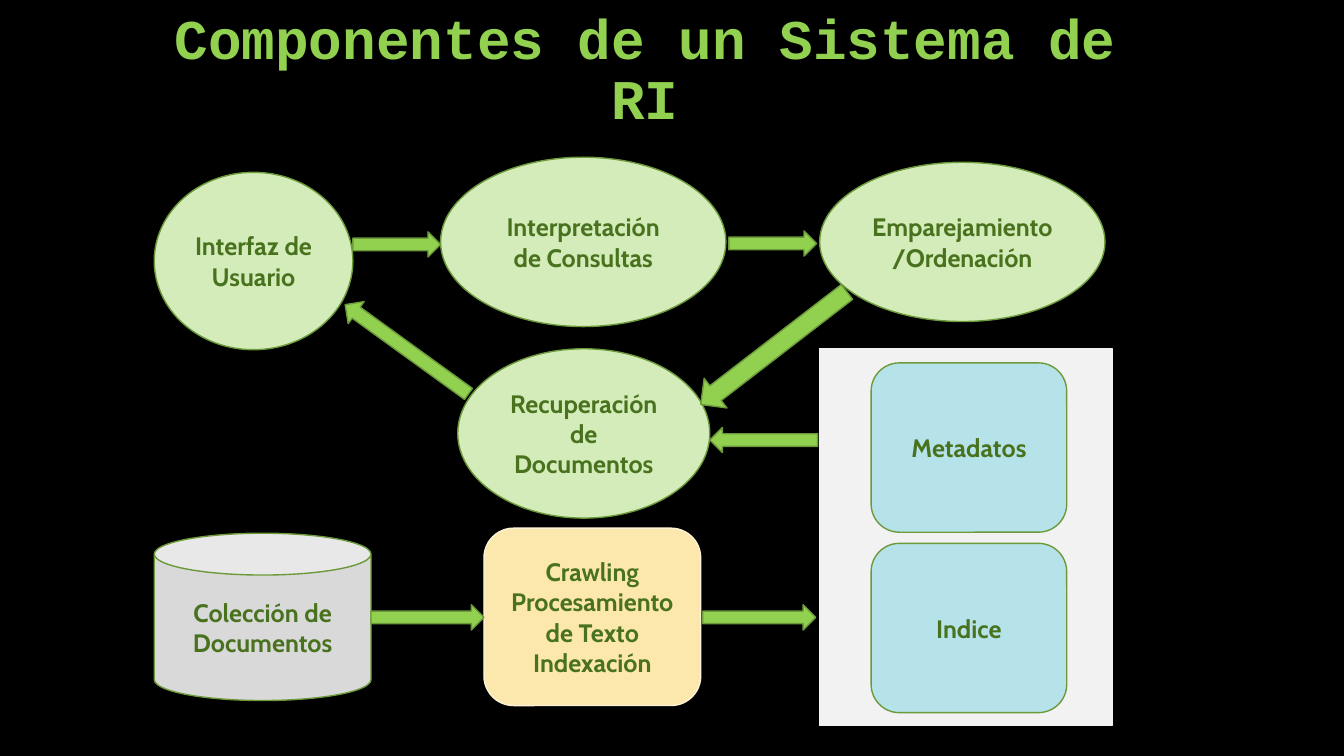
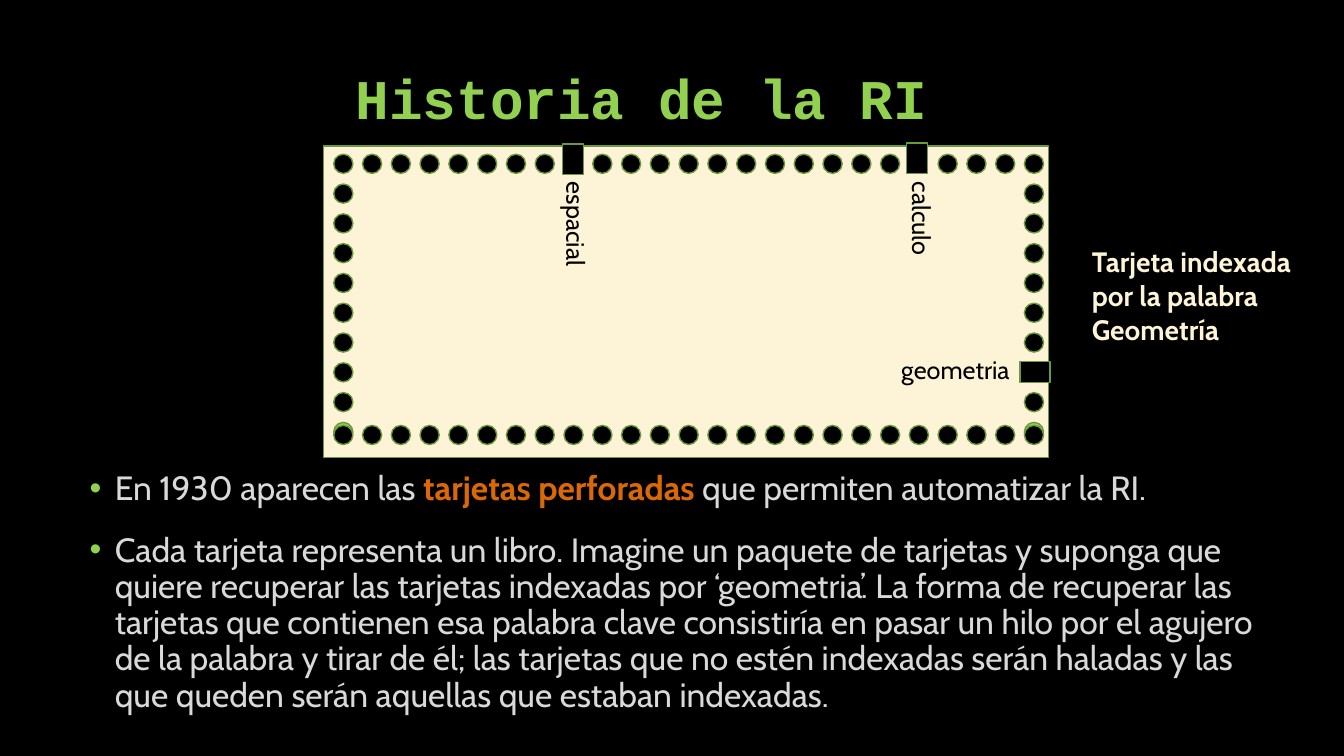
from dataclasses import dataclass

from lxml.etree import SubElement
from pptx import Presentation
from pptx.dml.color import RGBColor
from pptx.enum.shapes import MSO_SHAPE
from pptx.enum.text import MSO_ANCHOR, MSO_AUTO_SIZE, PP_ALIGN
from pptx.oxml.ns import qn
from pptx.util import Inches, Pt


@dataclass(frozen=True)
class Theme:
    background: str = "000000"
    accent: str = "92D050"
    outline: str = "6C9A3B"
    node: str = "D3ECB9"
    node_text: str = "49721E"
    panel: str = "F2F2F2"
    process: str = "FCE7AD"
    cream: str = "FDF3D6"
    store: str = "B5E3E9"
    gray: str = "D9D9D9"
    highlight: str = "DA6905"
    title_font: str = "Courier New"
    body_font: str = "Cabin"
    title_size: int = 40
    body_size: int = 24
    note_size: int = 20
    label_size: int = 18


T = Theme()
HOLE = 0.19


def rgb(value):
    return RGBColor.from_string(value)


def add_bullet(p, color):
    pPr = p._p.get_or_add_pPr()
    pPr.set("marL", str(Inches(0.25)))
    pPr.set("indent", str(Inches(-0.25)))
    SubElement(SubElement(pPr, qn("a:buClr")), qn("a:srgbClr"), val=color)
    SubElement(pPr, qn("a:buFont"), typeface="Arial")
    SubElement(pPr, qn("a:buChar"), char="•")


def write(sp, *paragraphs, size=T.label_size, color=T.node_text, bold=False,
          font=T.body_font, align=PP_ALIGN.LEFT, anchor=MSO_ANCHOR.TOP,
          wrap=True, spacing=None, before=None, bullet=None):
    """Each paragraph is a list of (text, color, bold) runs or a plain string."""
    tf = sp.text_frame
    tf.word_wrap = wrap
    tf.vertical_anchor = anchor
    for i, runs in enumerate(paragraphs):
        p = tf.paragraphs[0] if i == 0 else tf.add_paragraph()
        p.alignment = align
        if spacing:
            p.line_spacing = spacing
        if before:
            p.space_before = Pt(before)
        if bullet:
            add_bullet(p, bullet)
        if isinstance(runs, str):
            runs = [(runs, color, bold)]
        for text, run_color, run_bold in runs:
            r = p.add_run()
            r.text = text
            r.font.name = font
            r.font.size = Pt(size)
            r.font.bold = run_bold
            r.font.color.rgb = rgb(run_color)


def add_text(s, box, *paragraphs, rotation=0, grow=False, **fmt):
    sp = s.shapes.add_textbox(*map(Inches, box))
    sp.rotation = rotation
    write(sp, *paragraphs, **fmt)
    if grow:
        sp.text_frame.auto_size = MSO_AUTO_SIZE.SHAPE_TO_FIT_TEXT


def add_shape(s, kind, box, fill, line=T.outline, rotation=0):
    sp = s.shapes.add_shape(kind, *map(Inches, box))
    sp.shadow.inherit = False
    sp.rotation = rotation
    sp.fill.solid()
    sp.fill.fore_color.rgb = rgb(fill)
    sp.line.color.rgb = rgb(line)
    sp.line.width = Pt(1)
    return sp


def add_node(s, kind, box, fill, *paragraphs, line=T.outline):
    sp = add_shape(s, kind, box, fill, line)
    write(sp, *paragraphs, bold=True, align=PP_ALIGN.CENTER,
          anchor=MSO_ANCHOR.MIDDLE)


def add_hole(s, left, top, fill=T.background):
    add_shape(s, MSO_SHAPE.OVAL, (left, top, HOLE, HOLE), fill)


def new_slide(prs, title, title_width):
    s = prs.slides.add_slide(prs.slide_layouts[6])
    s.background.fill.solid()
    s.background.fill.fore_color.rgb = rgb(T.background)
    add_text(s, (1.53, 0.6, title_width, 0.76), title, size=T.title_size,
             color=T.accent, bold=True, font=T.title_font,
             align=PP_ALIGN.CENTER, anchor=MSO_ANCHOR.BOTTOM, spacing=0.9)
    return s


def build_components(prs):
    s = new_slide(prs, "Componentes de un Sistema de RI", 9.73)
    for box, text in (
        ((1.53, 1.71, 1.97, 1.76), "Interfaz de Usuario"),
        ((4.54, 3.46, 2.5, 1.68), "Recuperación de Documentos"),
        ((4.37, 1.56, 2.83, 1.68), "Interpretación de Consultas"),
        ((8.13, 1.61, 2.83, 1.58), "Emparejamiento/Ordenación"),
    ):
        add_node(s, MSO_SHAPE.OVAL, box, T.node, text)

    add_shape(s, MSO_SHAPE.RECTANGLE, (8.13, 3.46, 2.9, 3.74), T.panel, T.panel)
    add_node(s, MSO_SHAPE.ROUNDED_RECTANGLE, (4.8, 5.24, 2.15, 1.76), T.process,
             "Crawling Procesamiento de Texto", "Indexación", line=T.cream)
    for top, text in ((3.6, "Metadatos"), (5.39, "Indice")):
        add_node(s, MSO_SHAPE.ROUNDED_RECTANGLE, (8.64, top, 1.94, 1.68),
                 T.store, text)
    add_node(s, MSO_SHAPE.CAN, (1.53, 5.29, 2.15, 1.66), T.gray,
             "Colección de Documentos")

    for box, rotation in (
        ((3.5, 2.3, 0.87, 0.25), 0),
        ((7.23, 2.29, 0.87, 0.25), 0),
        ((6.76, 3.27, 1.83, 0.37), 142.4),
        ((3.28, 3.33, 1.51, 0.27), 215.9),
        ((3.68, 6, 1.12, 0.25), 0),
        ((6.97, 6, 1.12, 0.25), 0),
        ((7.04, 4.24, 1.07, 0.25), 180),
    ):
        add_shape(s, MSO_SHAPE.RIGHT_ARROW, box, T.accent, rotation=rotation)


def add_punched_card(s):
    """Card edged with holes; a notch replaces the hole of each indexed word."""
    add_shape(s, MSO_SHAPE.RECTANGLE, (3.21, 1.45, 7.19, 3.09), T.cream)
    left, right, top, bottom = 3.31, 10.16, 1.53, 4.19
    columns, rows = 25, 10
    notched_columns, notched_row = (8, 20), 7
    row_gap = (bottom - top) / (rows - 1)
    column_gap = (right - left) / (columns - 1)

    for row in range(1, rows):
        fill = T.accent if row == rows - 1 else T.background
        y = top + row * row_gap
        add_hole(s, left, y, fill)
        if row != notched_row:
            add_hole(s, right, y, fill)
    for column in range(columns):
        x = left + column * column_gap
        if column not in notched_columns:
            add_hole(s, x, top)
        add_hole(s, x, bottom + 0.03)

    for x, y, rotation in ((5.58, 1.43, 0), (8.99, 1.42, 0), (10.16, 3.54, 90)):
        add_shape(s, MSO_SHAPE.RECTANGLE, (x, y, 0.21, 0.3), T.background,
                  rotation=rotation)
    for box, rotation, word in (
        ((5.19, 2.03, 1.05, 0.4), 90, "espacial"),
        ((8.67, 1.98, 0.95, 0.4), 90, "calculo"),
        ((8.84, 3.47, 1.3, 0.4), 0, "geometria"),
    ):
        add_text(s, box, word, rotation=rotation, color=T.background,
                 wrap=False, grow=True)


def build_history(prs):
    s = new_slide(prs, "Historia de la RI", 9.66)
    add_text(
        s, (0.79, 4.63, 11.83, 2.53),
        [("En 1930 aparecen las ", T.gray, False),
         ("tarjetas perforadas", T.highlight, True),
         (" que permiten automatizar la RI.", T.gray, False)],
        "Cada tarjeta representa un libro. Imagine un paquete de tarjetas y "
        "suponga que quiere recuperar las tarjetas indexadas por ‘geometria’. "
        "La forma de recuperar las tarjetas que contienen esa palabra clave "
        "consistiría en pasar un hilo por el agujero de la palabra y tirar de "
        "él; las tarjetas que no estén indexadas serán haladas y las que "
        "queden serán aquellas que estaban indexadas.",
        size=T.body_size, color=T.gray, spacing=0.9, before=18, bullet=T.accent)
    add_punched_card(s)
    add_text(s, (10.73, 2.38, 2.31, 1.11),
             "Tarjeta indexada por la palabra Geometría",
             size=T.note_size, color=T.cream, bold=True, grow=True)


def main():
    prs = Presentation()
    prs.slide_width, prs.slide_height = Inches(13.33), Inches(7.5)
    build_components(prs)
    build_history(prs)
    prs.save("out.pptx")


if __name__ == "__main__":
    main()
